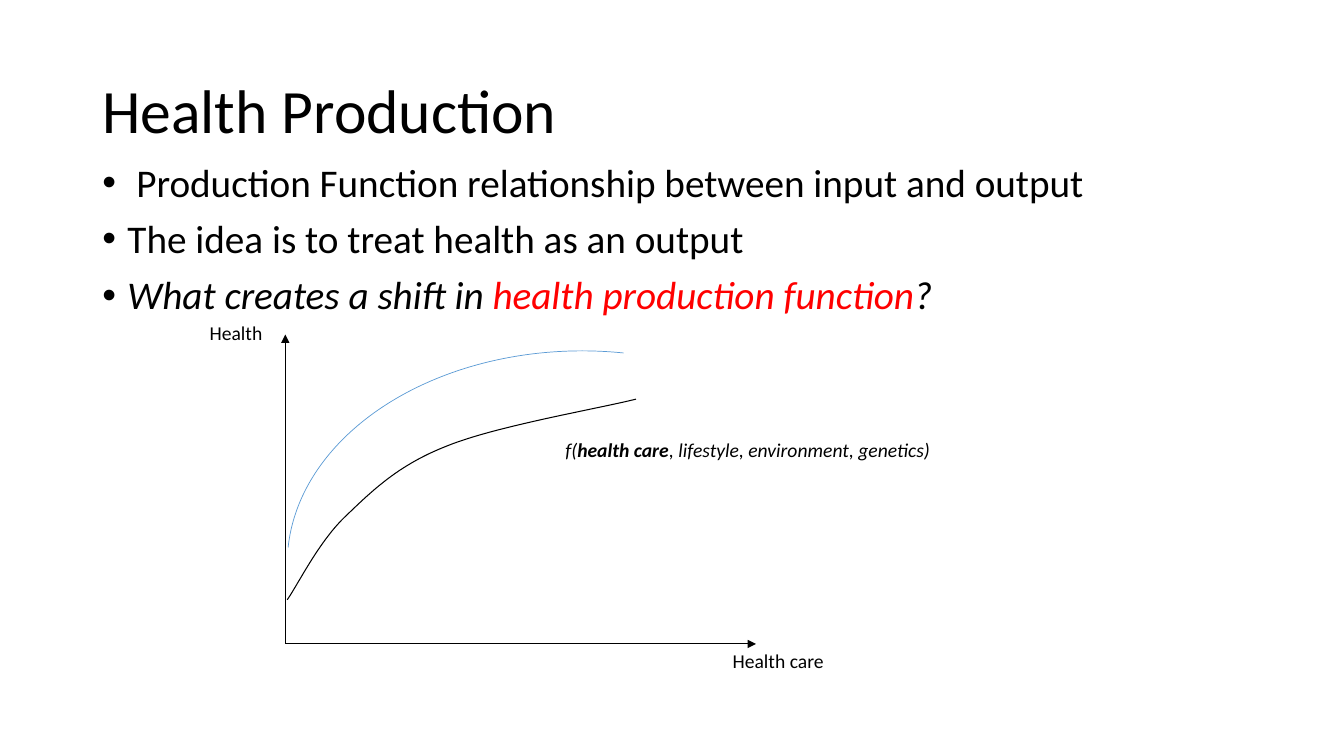
"""Build the Health Production slide."""
from dataclasses import dataclass

from lxml.etree import SubElement
from pptx import Presentation
from pptx.dml.color import RGBColor
from pptx.enum.shapes import MSO_CONNECTOR, MSO_SHAPE
from pptx.enum.text import MSO_ANCHOR
from pptx.oxml.ns import qn
from pptx.util import Pt


@dataclass(frozen=True)
class Theme:
    """Hold the colours, font, type sizes and line widths."""
    font: str = "Calibri"
    ink: RGBColor = RGBColor(0, 0, 0)
    accent: RGBColor = RGBColor(255, 0, 0)
    shifted: RGBColor = RGBColor(0x5B, 0x9B, 0xD5)
    title: int = 44
    body: int = 28
    label: int = 14
    line: float = 0.75
    thin_line: float = 0.5


THEME = Theme()
ORIGIN = (203.8, 460)
HEALTH_AXIS_END = (203.8, 239)
CARE_AXIS_END = (540, 460)
CURVE_START = (205.2, 428.4)
CURVE_SEGMENTS = [
    ((212.4, 418.3), (227.5, 387.4), (246.2, 369.4)),
    ((265, 351.4), (283.7, 332.6), (318.2, 319)),
    ((352.8, 304.6), (425.5, 292.3), (454.3, 285.1)),
]
STEPS = 24


def add_text(slide, box, size):
    """Add a wrapping text box and return its text frame."""
    text_frame = slide.shapes.add_textbox(*map(Pt, box)).text_frame
    text_frame.word_wrap = True
    text_frame.paragraphs[0].font.size = Pt(size)
    return text_frame


def write_runs(paragraph, runs, size):
    """Write (text, style) runs into a paragraph."""
    for text, style in runs:
        run = paragraph.add_run()
        run.text = text
        run.font.name = THEME.font
        run.font.size = Pt(size)
        run.font.bold = style.get("bold", False)
        run.font.italic = style.get("italic", False)
        run.font.color.rgb = style.get("color", THEME.ink)


def add_title(slide, text):
    """Add the slide title."""
    text_frame = add_text(slide, (66, 28.8, 828, 104.4), THEME.title)
    text_frame.vertical_anchor = MSO_ANCHOR.MIDDLE
    paragraph = text_frame.paragraphs[0]
    paragraph.line_spacing = 0.9
    write_runs(paragraph, [(text, {})], THEME.title)


def add_bullets(slide, items):
    """Add the bulleted list, one paragraph for each list of runs."""
    text_frame = add_text(slide, (66, 113, 828, 373), THEME.body)
    for index, runs in enumerate(items):
        paragraph = text_frame.add_paragraph() if index else text_frame.paragraphs[0]
        paragraph.line_spacing = 0.9
        paragraph.space_before = Pt(10)
        properties = paragraph._p.get_or_add_pPr()
        properties.set("marL", str(Pt(18)))
        properties.set("indent", str(-Pt(18)))
        bullet_font = properties.makeelement(qn("a:buFont"), {"typeface": "Arial"})
        bullet = properties.makeelement(qn("a:buChar"), {"char": "•"})
        properties.insert_element_before(bullet_font, "a:tabLst", "a:defRPr", "a:extLst")
        properties.insert_element_before(bullet, "a:tabLst", "a:defRPr", "a:extLst")
        write_runs(paragraph, runs, THEME.body)


def add_label(slide, box, runs):
    """Add a small label to the diagram."""
    text_frame = add_text(slide, box, THEME.label)
    write_runs(text_frame.paragraphs[0], runs, THEME.label)


def add_axis(slide, end):
    """Add an axis arrow from the origin."""
    axis = slide.shapes.add_connector(MSO_CONNECTOR.STRAIGHT, *map(Pt, ORIGIN + end))
    axis.line.color.rgb = THEME.ink
    axis.line.width = Pt(THEME.line)
    SubElement(axis.line._get_or_add_ln(), qn("a:tailEnd"), type="triangle")
    SubElement(axis._element.spPr, qn("a:effectLst"))


def style_curve(shape, color, width):
    """Leave a curve unfilled and set its line."""
    shape.shadow.inherit = False
    shape.fill.background()
    shape.line.color.rgb = color
    shape.line.width = Pt(width)


def bezier_point(controls, t):
    """Return the point at t on a cubic Bezier segment."""
    weights = ((1 - t) ** 3, 3 * t * (1 - t) ** 2, 3 * t * t * (1 - t), t ** 3)
    return tuple(
        Pt(sum(weight * value for weight, value in zip(weights, axis)))
        for axis in zip(*controls)
    )


def add_production_curve(slide):
    """Add the production function as a finely sampled open path."""
    points = []
    start = CURVE_START
    for segment in CURVE_SEGMENTS:
        controls = (start, *segment)
        points += [bezier_point(controls, step / STEPS) for step in range(1, STEPS + 1)]
        start = segment[-1]
    builder = slide.shapes.build_freeform(*map(Pt, CURVE_START))
    builder.add_line_segments(points, close=False)
    style_curve(builder.convert_to_shape(), THEME.ink, THEME.line)


def add_shifted_curve(slide):
    """Add the shifted production function as an arc."""
    box = (205.2, 250.6, 421.2, 303.8)
    arc = slide.shapes.add_shape(MSO_SHAPE.ARC, *map(Pt, box))
    arc.adjustments[0] = 109.87
    arc.adjustments[1] = 168.68
    style_curve(arc, THEME.shifted, THEME.thin_line)


def main():
    """Build and save the slide."""
    presentation = Presentation()
    presentation.slide_width, presentation.slide_height = Pt(960), Pt(540)
    slide = presentation.slides.add_slide(presentation.slide_layouts[6])
    italic = {"italic": True}
    add_title(slide, "Health Production")
    add_bullets(slide, [
        [(" Production Function relationship between input and output ", {})],
        [("The idea is to treat health as an output", {})],
        [("What creates a shift in ", italic),
         ("health production function", {"italic": True, "color": THEME.accent}),
         ("?", italic)],
    ])
    for end in (HEALTH_AXIS_END, CARE_AXIS_END):
        add_axis(slide, end)
    add_production_curve(slide)
    add_label(slide, (142.6, 226, 60, 24.5), [("Health", {})])
    add_label(slide, (516.2, 460, 192, 49), [("Health care", {})])
    add_label(slide, (396.7, 309.6, 323.3, 24.5), [
        ("f(", italic),
        ("health care", {"italic": True, "bold": True}),
        (", lifestyle, environment, genetics)", italic),
    ])
    add_shifted_curve(slide)
    presentation.save("out.pptx")


if __name__ == "__main__":
    main()
